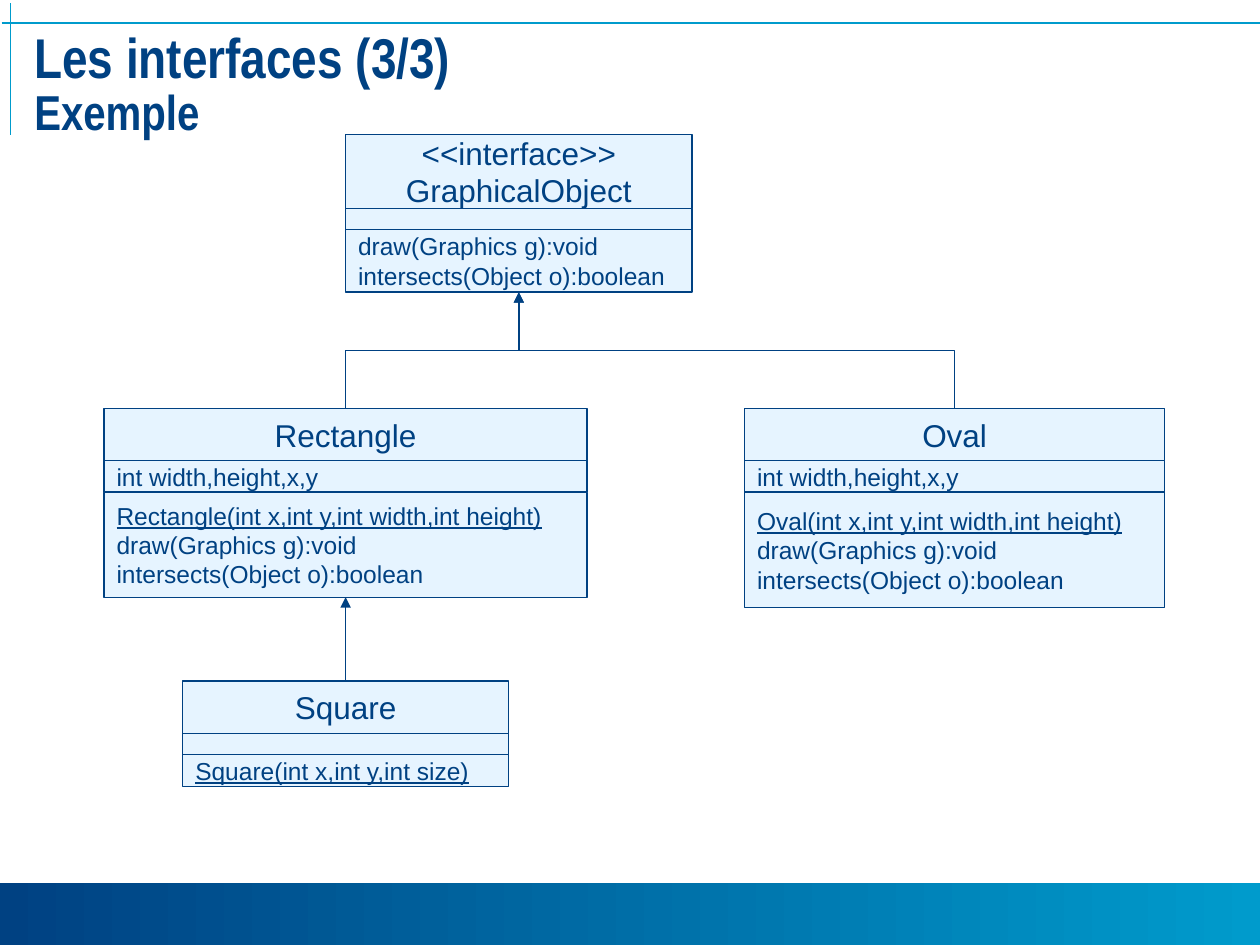
from dataclasses import dataclass

from lxml import etree
from pptx import Presentation
from pptx.dml.color import RGBColor
from pptx.enum.shapes import MSO_CONNECTOR, MSO_SHAPE
from pptx.enum.text import MSO_ANCHOR, PP_ALIGN
from pptx.oxml.ns import qn
from pptx.util import Pt

STRAIGHT, ELBOW = MSO_CONNECTOR.STRAIGHT, MSO_CONNECTOR.ELBOW
RECTANGLE = MSO_SHAPE.RECTANGLE
MIDDLE = MSO_ANCHOR.MIDDLE
LEFT, CENTER = PP_ALIGN.LEFT, PP_ALIGN.CENTER

NAVY = RGBColor(0x00, 0x41, 0x82)
CYAN = RGBColor(0x00, 0x9B, 0xCC)
PALE = RGBColor(0xE6, 0xF4, 0xFF)

SLIDE_W, SLIDE_H = 720, 540
NAME_SIZE, MEMBER_SIZE = 18, 14


@dataclass
class ClassBox:
    """Place, compartment heights and members of one UML class."""
    left: float
    top: float
    width: float
    heights: tuple
    title: list
    attributes: list
    operations: list

    @property
    def center(self):
        return self.left + self.width / 2

    @property
    def bottom(self):
        return self.top + sum(self.heights)


def format_run(r, font, size, bold=False, underline=False):
    r.font.name = font
    r.font.size = Pt(size)
    r.font.bold = bold
    r.font.underline = underline
    r.font.color.rgb = NAVY


def add_title(slide, title, subtitle):
    tf = slide.shapes.add_textbox(Pt(12.5), Pt(16), Pt(707.5), Pt(72.5)).text_frame
    tf.word_wrap = True
    tf.margin_top = tf.margin_bottom = Pt(3)
    p = tf.paragraphs[0]
    p.text = f"{title}\v{subtitle}"
    p.line_spacing = 0.85
    for r, size in zip(p.runs, (32, 28)):
        format_run(r, "Arial Narrow", size, bold=True)


def add_footer_band(slide):
    sp = slide.shapes.add_shape(RECTANGLE, 0, Pt(504.5), Pt(SLIDE_W), Pt(37))
    sp.shadow.inherit = False
    sp.line.fill.background()
    sp.fill.gradient()
    sp.fill.gradient_angle = 0
    for stop, color, position in zip(sp.fill.gradient_stops, (NAVY, CYAN), (0, 1)):
        stop.color.rgb = color
        stop.position = position


def add_line(slide, x1, y1, x2, y2, color, width, kind=STRAIGHT, arrow=False):
    line = slide.shapes.add_connector(kind, Pt(x1), Pt(y1), Pt(x2), Pt(y2))
    line.line.color.rgb = color
    line.line.width = Pt(width)
    if arrow:
        etree.SubElement(line.line._get_or_add_ln(), qn("a:tailEnd"), type="triangle")
    etree.SubElement(line._element.spPr, qn("a:effectLst"))
    return line


def add_compartment(slide, left, top, width, height, lines, size, align, underlined):
    sp = slide.shapes.add_shape(RECTANGLE, Pt(left), Pt(top), Pt(width), Pt(height))
    sp.shadow.inherit = False
    sp.fill.solid()
    sp.fill.fore_color.rgb = PALE
    sp.line.color.rgb = NAVY
    sp.line.width = Pt(0.75)
    tf = sp.text_frame
    tf.word_wrap = False
    tf.vertical_anchor = MIDDLE
    tf.text = "\n".join(lines)
    for p in tf.paragraphs:
        p.alignment = align
        for r in p.runs:
            format_run(r, "Arial", size, underline=r.text.startswith(underlined))


def add_class(slide, box):
    """Stack name, attributes and operations; constructors are underlined."""
    constructor = box.title[-1] + "("
    top = box.top
    parts = ((box.title, NAME_SIZE, CENTER),
             (box.attributes, MEMBER_SIZE, LEFT),
             (box.operations, MEMBER_SIZE, LEFT))
    for height, (lines, size, align) in zip(box.heights, parts):
        add_compartment(slide, box.left, top, box.width, height,
                        lines, size, align, constructor)
        top += height


def add_inheritance(slide, child, parent):
    """Arrow from the child's top to the parent's bottom, bent if they are offset."""
    dx = parent.center - child.center
    if dx == 0:
        add_line(slide, child.center, child.top, parent.center, parent.bottom,
                 NAVY, 0.75, arrow=True)
        return
    # An elbow leaves sideways, so it is laid out flat and turned upright.
    mid_x = (child.center + parent.center) / 2
    mid_y = (child.top + parent.bottom) / 2
    side = 1 if dx > 0 else -1
    half_w = side * (child.top - parent.bottom) / 2
    half_h = abs(dx) / 2
    line = add_line(slide, mid_x - half_w, mid_y - half_h, mid_x + half_w,
                    mid_y + half_h, NAVY, 0.75, ELBOW, arrow=True)
    degrees = 270 if dx > 0 else 90
    line._element.spPr.find(qn("a:xfrm")).set("rot", str(degrees * 60000))


def main():
    prs = Presentation()
    prs.slide_width, prs.slide_height = Pt(SLIDE_W), Pt(SLIDE_H)
    slide = prs.slides.add_slide(prs.slide_layouts[6])

    add_footer_band(slide)
    add_line(slide, 1, 13, SLIDE_W, 13, CYAN, 1)
    add_line(slide, 6, 2, 6, 77, CYAN, 1)
    add_title(slide, "Les interfaces (3/3)", "Exemple")

    methods = ["draw(Graphics g):void", "intersects(Object o):boolean"]
    fields = ["int width,height,x,y"]
    graphical = ClassBox(197.5, 77, 198, (42, 12, 36),
                         ["<<interface>>", "GraphicalObject"], [], methods)
    rectangle = ClassBox(59.5, 233.25, 276, (30, 18, 60), ["Rectangle"], fields,
                         ["Rectangle(int x,int y,int width,int height)"] + methods)
    oval = ClassBox(425.5, 233.25, 240, (30, 18, 66), ["Oval"], fields,
                    ["Oval(int x,int y,int width,int height)"] + methods)
    square = ClassBox(104.5, 389.25, 186, (30, 12, 18), ["Square"], [],
                      ["Square(int x,int y,int size)"])

    for box in (graphical, rectangle, oval, square):
        add_class(slide, box)
    for child, parent in ((rectangle, graphical), (oval, graphical), (square, rectangle)):
        add_inheritance(slide, child, parent)

    prs.save("out.pptx")


if __name__ == "__main__":
    main()
